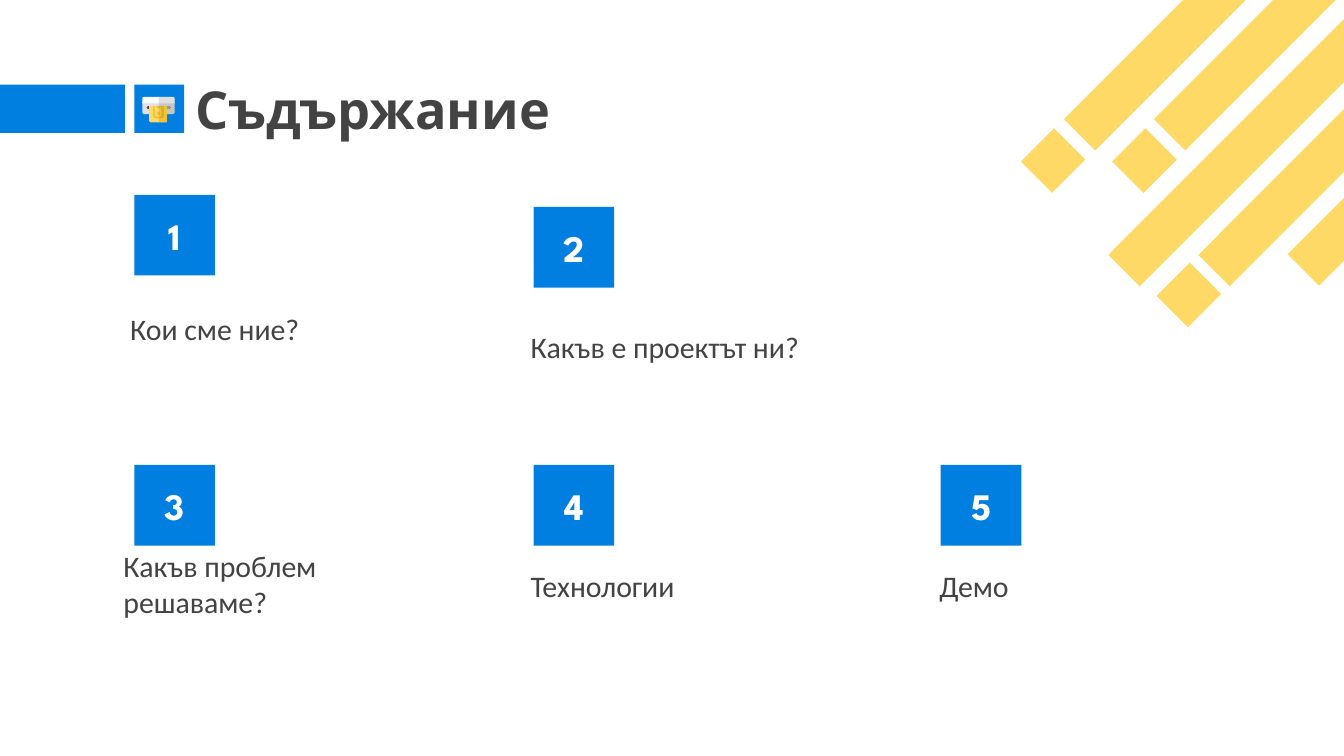
from dataclasses import dataclass

from lxml.etree import SubElement
from pptx import Presentation
from pptx.dml.color import RGBColor as RGB
from pptx.enum.shapes import MSO_SHAPE as SHAPE
from pptx.enum.text import MSO_ANCHOR as ANCHOR, PP_ALIGN as ALIGN
from pptx.oxml.ns import qn
from pptx.util import Pt

PX = 9144  # EMU per px, 100 px to the inch


@dataclass(frozen=True)
class Theme:
    blue: str = "007FE0"
    yellow: str = "FFD966"
    gold: str = "F1C232"
    dark: str = "434343"
    grey: str = "999999"
    silver: str = "E0E0E0"
    white: str = "FFFFFF"
    heading_font: str = "League Spartan"
    body_font: str = "Calibri"
    title_size: int = 28
    number_size: int = 20
    body_size: int = 16
    shade: int = 16  # opacity of the icon's shaded half, in percent


T = Theme()

# Left, top, length within the pattern box
STRIPES = [
    (16, 126, 35), (9, 0, 302), (84, 126, 35), (76, 0, 302),
    (42, 101, 302), (200, 160, 134), (109, 101, 302), (117, 226, 35),
]
STRIPE_WIDTH = 33

# Outline, colour, opacity; the icon's right half is shaded
ICON = [
    ([(1, 3), (0, 4), (0, 12), (1, 13), (6, 13), (7, 12), (7, 9), (17, 9), (17, 12),
      (18, 13), (23, 13), (24, 12), (24, 4), (23, 3)], T.silver, 100),
    ([(12, 3), (12, 9), (17, 9), (17, 12), (18, 13), (23, 13), (24, 12), (24, 4),
      (23, 3)], T.dark, T.shade),
    ([(1, 0), (0, 1), (0, 5), (24, 5), (24, 1), (23, 0)], T.white, 100),
    ([(12, 0), (12, 5), (24, 5), (24, 1), (23, 0)], T.dark, T.shade),
    ([(4, 7), (3, 8), (4, 9), (20, 9), (21, 8), (20, 7)], T.dark, 100),
    ([(12, 7), (12, 9), (20, 9), (21, 8), (20, 7)], T.grey, 100),
    ([(5, 7), (5, 18), (6, 19), (18, 19), (18, 7)], T.yellow, 100),
    ([(12, 11), (11, 12), (11, 13), (12, 14), (13, 13), (13, 12)], T.gold, 100),
    ([(12, 7), (12, 19), (18, 19), (18, 7)], T.gold, 100),
    ([(8, 7), (8, 15), (10, 16), (14, 16), (16, 15), (16, 7), (14, 7), (14, 14),
      (13, 15), (11, 15), (9, 14), (9, 7)], T.gold, 100),
    ([(10, 7), (12, 9), (14, 7)], T.gold, 100),
    ([(14, 7), (14, 14), (13, 15), (12, 15), (12, 16), (14, 16), (16, 15), (16, 7)],
     T.dark, T.shade),
    ([(12, 11), (12, 14), (13, 13), (13, 12)], T.dark, T.shade),
    ([(12, 7), (12, 9), (14, 7)], T.dark, T.shade),
]

# Number's left and top, topic's offset from the number, topic
TOPICS = [
    (100, 145, -13, 70, "Кои сме ние?"),
    (397, 154, -12, 74, "Какъв е проектът ни?"),
    (100, 346, -18, 72, "Какъв проблем решаваме?"),
    (397, 346, -12, 60, "Технологии"),
    (700, 346, -11, 60, "Демо"),
]


def paint(sp, color, opacity=100):
    sp.shadow.inherit = False
    sp.line.fill.background()
    sp.fill.solid()
    sp.fill.fore_color.rgb = RGB.from_string(color)
    if opacity < 100:
        clr = sp.element.spPr.find(".//" + qn("a:srgbClr"))
        SubElement(clr, qn("a:alpha")).set("val", str(opacity * 1000))


def add_rect(s, x, y, w, h, color):
    sp = s.shapes.add_shape(SHAPE.RECTANGLE, x * PX, y * PX, w * PX, h * PX)
    paint(sp, color)
    return sp


def write(sp, text, font, size, color, bold=False, align=ALIGN.LEFT, anchor=ANCHOR.MIDDLE):
    tf = sp.text_frame
    tf.word_wrap = True
    tf.vertical_anchor = anchor
    tf.margin_left = tf.margin_right = tf.margin_top = tf.margin_bottom = 10 * PX
    p = tf.paragraphs[0]
    p.text = text
    p.alignment = align
    r = p.runs[0]
    r.font.name, r.font.size, r.font.bold = font, Pt(size), bold
    r.font.color.rgb = RGB.from_string(color)


def add_text(s, x, y, w, h, *style, **options):
    sp = s.shapes.add_textbox(x * PX, y * PX, w * PX, h * PX)
    write(sp, *style, **options)


def add_stripes(s, x, y):
    for dx, dy, length in STRIPES:
        add_rect(s, x + dx, y + dy, length, STRIPE_WIDTH, T.yellow).rotation = 135


def add_icon(s, x, y):
    """Cash machine slot with a banknote coming out."""
    for points, color, opacity in ICON:
        outline = s.shapes.build_freeform(*points[0], scale=PX)
        outline.add_line_segments(points[1:], close=True)
        paint(outline.convert_to_shape(x * PX, y * PX), color, opacity)


def add_header(s, x, y, title):
    add_rect(s, x, y, 93, 36, T.blue)
    add_rect(s, x + 100, y, 37, 36, T.blue)
    add_icon(s, x + 106, y + 9)
    add_text(s, x + 136, y - 6, 678, 47, title, T.heading_font, T.title_size, T.dark,
             bold=True)


def add_topic(s, x, y, dx, dy, number, topic):
    sp = add_rect(s, x, y, 60, 60, T.blue)
    write(sp, str(number), T.heading_font, T.number_size, T.white, bold=True,
          align=ALIGN.CENTER)
    add_text(s, x + dx, y + dy, 238, 53, topic, T.body_font, T.body_size, T.dark,
             anchor=ANCHOR.BOTTOM)


def main():
    prs = Presentation()
    prs.slide_width = 1000 * PX
    prs.slide_height = prs.slide_width * 9 // 16
    s = prs.slides.add_slide(prs.slide_layouts[6])
    add_stripes(s, 750, -23)
    add_header(s, 0, 63, "Съдържание")
    for number, (x, y, dx, dy, topic) in enumerate(TOPICS, 1):
        add_topic(s, x, y, dx, dy, number, topic)
    prs.save("out.pptx")


if __name__ == "__main__":
    main()
